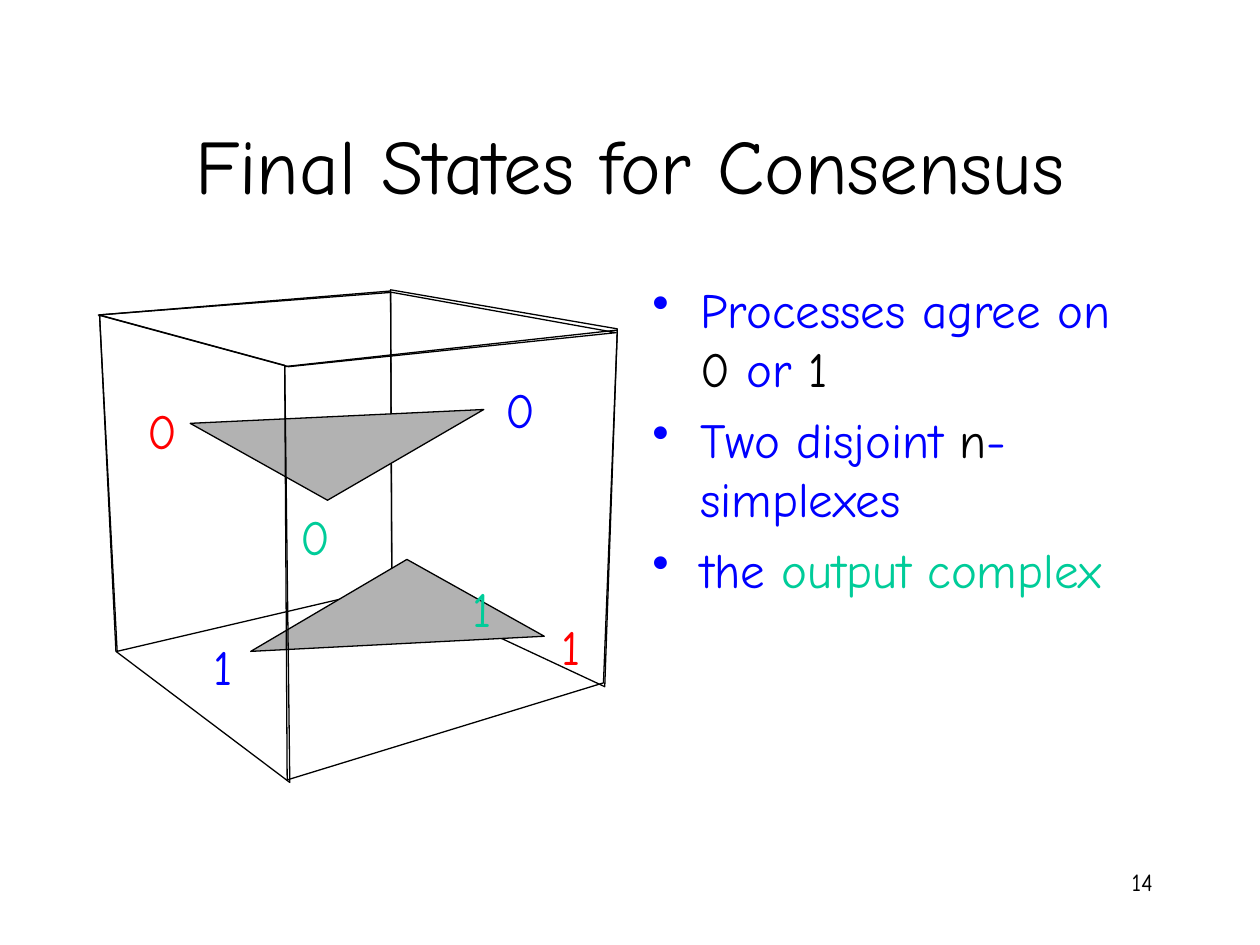
import pptx
import pptx.util
import pptx.dml.color
import pptx.enum.text
from lxml import etree
from pptx.util import Inches, Pt

FONT = "Comic Neue"
COLORS = {"black": "000000", "blue": "0000FF", "red": "FF0000",
          "green": "00CC99", "gray": "B2B2B2"}
ALIGN = pptx.enum.text.PP_ALIGN
ANCHOR = pptx.enum.text.MSO_ANCHOR

TITLE = "Final States for Consensus"
PAGE_NUMBER = "14"
BULLETS = [
    [("Processes agree on ", "blue"), ("0", "black"), (" or ", "blue"), ("1", "black")],
    [("Two disjoint ", "blue"), ("n", "black"), ("-simplexes", "blue")],
    [("the ", "blue"), ("output complex", "green")],
]

# Outlines from back to front: corner points in inches, fill colour
BACK_FACES = [
    ([(3.11, 4.66), (4.8, 5.45), (4.9, 2.61), (3.1, 2.3)], None),
    ([(0.93, 5.17), (3.11, 4.66), (3.1, 2.31), (0.79, 2.5)], None),
    ([(0.78, 2.5), (2.29, 2.91), (4.89, 2.64), (3.11, 2.32)], None),
]
LOWER_SIMPLEX = ([(3.23, 4.44), (4.32, 5.05), (1.99, 5.17)], "gray")
UPPER_SIMPLEX = ([(2.6, 3.97), (1.51, 3.36), (3.84, 3.25)], "gray")
FRONT_FACES = [
    ([(2.3, 6.21), (2.26, 2.9), (0.79, 2.5), (0.92, 5.17)], None),
    ([(2.26, 2.91), (2.28, 6.19), (4.79, 5.42), (4.9, 2.62)], None),
]

# Vertex labels: value, colour, left, top
LABELS = [
    ("0", "blue", 3.91, 2.96), ("0", "red", 1.07, 3.13), ("0", "green", 2.28, 3.97),
    ("1", "red", 4.31, 4.84), ("1", "blue", 1.55, 5), ("1", "green", 3.61, 4.54),
]
LABEL_SIZE = (0.44, 0.57)


def rgb(name):
    return pptx.dml.color.RGBColor.from_string(COLORS[name])


def add_frame(page, left, top, width, height, anchor=ANCHOR.TOP):
    box = page.shapes.add_textbox(*map(Inches, (left, top, width, height)))
    frame = box.text_frame
    frame.word_wrap = True
    frame.vertical_anchor = anchor
    return frame


def set_font(para, size, color):
    para.font.name = FONT
    para.font.size = Pt(size)
    para.font.color.rgb = rgb(color)


def add_line_of_text(page, text, place, size, color, align, anchor=ANCHOR.TOP):
    para = add_frame(page, *place, anchor).paragraphs[0]
    para.text = text
    para.alignment = align
    set_font(para, size, color)


def add_polygon(page, points, fill):
    corners = [(Inches(x), Inches(y)) for x, y in points]
    builder = page.shapes.build_freeform(*corners[0])
    builder.add_line_segments(corners[1:], close=True)
    shape = builder.convert_to_shape()
    shape.shadow.inherit = False
    shape.line.color.rgb = rgb("black")
    shape.line.width = Pt(0.75)
    if fill:
        shape.fill.solid()
        shape.fill.fore_color.rgb = rgb(fill)
    else:
        shape.fill.background()


def add_bullet(para, color):
    props = para._p.get_or_add_pPr()
    props.set("marL", str(Inches(0.38)))
    props.set("indent", str(-Inches(0.38)))
    tag = pptx.oxml.ns.qn
    bullet_color = etree.SubElement(props, tag("a:buClr"))
    etree.SubElement(bullet_color, tag("a:srgbClr"), val=COLORS[color])
    etree.SubElement(props, tag("a:buChar"), char="•")


def add_bullets(page):
    frame = add_frame(page, 5.08, 2.17, 4.17, 4.5)
    for index, spans in enumerate(BULLETS):
        para = frame.add_paragraph() if index else frame.paragraphs[0]
        add_bullet(para, "blue")
        if index:
            para.space_before = Pt(7)
        set_font(para, 28, "blue")
        for text, color in spans:
            span = para.add_run()
            span.text = text
            span.font.color.rgb = rgb(color)


def main():
    deck = pptx.Presentation()
    deck.slide_width, deck.slide_height = Inches(10), Inches(7.5)
    page = deck.slides.add_slide(deck.slide_layouts[6])

    add_line_of_text(page, TITLE, (0.75, 0.67, 8.5, 1.25), 44, "black",
                     ALIGN.CENTER, ANCHOR.MIDDLE)
    add_bullets(page)
    for points, fill in BACK_FACES + [LOWER_SIMPLEX]:
        add_polygon(page, points, fill)
    for value, color, left, top in LABELS:
        add_line_of_text(page, value, (left, top, *LABEL_SIZE), 28, color,
                         ALIGN.CENTER, ANCHOR.MIDDLE)
    for points, fill in [UPPER_SIMPLEX] + FRONT_FACES:
        add_polygon(page, points, fill)
    add_line_of_text(page, PAGE_NUMBER, (7.17, 6.83, 2.08, 0.5), 14, "black", ALIGN.RIGHT)
    deck.save("out.pptx")


if __name__ == "__main__":
    main()
